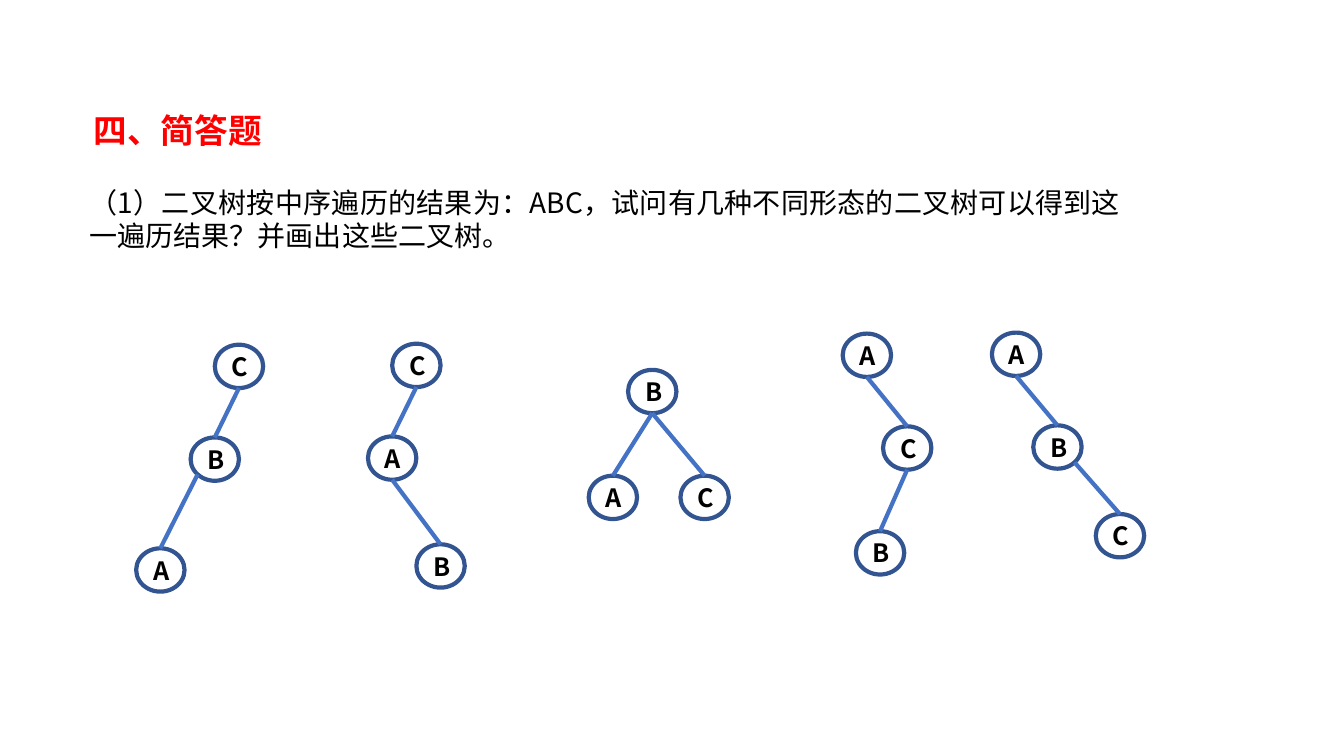
from math import cos, pi, sin

from lxml.etree import SubElement
from pptx import Presentation
from pptx.dml.color import RGBColor
from pptx.enum.shapes import MSO_CONNECTOR, MSO_SHAPE
from pptx.enum.text import MSO_ANCHOR, PP_ALIGN
from pptx.oxml.ns import qn
from pptx.util import Inches, Pt

COLORS = {"text": "000000", "heading": "FF0000", "node": "325491", "edge": "4472C4"}
SANS = "Noto Sans CJK SC"
SERIF = "Times New Roman"

presentation = Presentation()
presentation.slide_width = Inches(13.33)
presentation.slide_height = Inches(7.5)
slide = presentation.slides.add_slide(presentation.slide_layouts[6])

# A grid of 100 columns by 100 rows
column = presentation.slide_width / 100
row = presentation.slide_height / 100


def write(shape, text, size, font=SANS, color="text", bold=False,
          align=PP_ALIGN.JUSTIFY, anchor=MSO_ANCHOR.TOP, wrap=True):
    frame = shape.text_frame
    frame.word_wrap = wrap
    frame.vertical_anchor = anchor
    paragraph = frame.paragraphs[0]
    paragraph.alignment = align
    run = paragraph.add_run()
    run.text = text
    run.font.size = Pt(size)
    run.font.name = font
    run.font.bold = bold
    run.font.color.rgb = RGBColor.from_string(COLORS[color])
    SubElement(run.font._element, qn("a:ea"), typeface=SANS)


def grid_box(left, top, width, height):
    return [round(length) for length in
            (left * column, top * row, width * column, height * row)]


heading = slide.shapes.add_textbox(*grid_box(6.23, 13.87, 14.18, 6.67))
write(heading, "四、简答题", 24, font=SERIF, color="heading", bold=True, wrap=False)

question = slide.shapes.add_textbox(*grid_box(5.93, 23.87, 78.15, 10.27))
write(question, "（1）二叉树按中序遍历的结果为：ABC，试问有几种不同形态的二叉树"
      "可以得到这一遍历结果？并画出这些二叉树。", 20)

NODE_WIDTH, NODE_HEIGHT = 3.6, 5.73
BOTTOM, BOTTOM_LEFT, BOTTOM_RIGHT = pi / 2, pi * 3 / 4, pi / 4

# Each tree: nodes as letter -> (centre column, top row),
# edges as (parent, child, angle where the edge leaves the parent)
trees = [
    ({"C": (17.78, 45.6), "B": (15.98, 57.87), "A": (11.93, 72.53)},
     [("C", "B", BOTTOM), ("B", "A", BOTTOM_LEFT)]),
    ({"C": (30.98, 45.47), "A": (29.18, 57.73), "B": (32.78, 72)},
     [("C", "A", BOTTOM), ("A", "B", BOTTOM)]),
    ({"B": (48.53, 48.93), "A": (45.6, 62.93), "C": (52.43, 62.93)},
     [("B", "A", BOTTOM), ("B", "C", BOTTOM)]),
    ({"A": (64.5, 44.13), "C": (67.5, 56.4), "B": (65.48, 70.27)},
     [("A", "C", BOTTOM), ("C", "B", BOTTOM)]),
    ({"A": (75.6, 44), "B": (78.68, 56.27), "C": (83.33, 68)},
     [("A", "B", BOTTOM), ("B", "C", BOTTOM_RIGHT)]),
]

for nodes, edges in trees:
    for letter, (center, top) in nodes.items():
        node = slide.shapes.add_shape(
            MSO_SHAPE.OVAL,
            *grid_box(center - NODE_WIDTH / 2, top, NODE_WIDTH, NODE_HEIGHT))
        node.shadow.inherit = False
        node.fill.background()
        node.line.color.rgb = RGBColor.from_string(COLORS["node"])
        node.line.width = Pt(3)
        write(node, letter, 18, bold=True, align=PP_ALIGN.CENTER,
              anchor=MSO_ANCHOR.MIDDLE)

    for parent, child, angle in edges:
        parent_center, parent_top = nodes[parent]
        child_center, child_top = nodes[child]
        start_column = parent_center + NODE_WIDTH / 2 * cos(angle)
        start_row = parent_top + NODE_HEIGHT / 2 * (1 + sin(angle))
        edge = slide.shapes.add_connector(
            MSO_CONNECTOR.STRAIGHT,
            round(start_column * column), round(start_row * row),
            round(child_center * column), round(child_top * row))
        edge.line.color.rgb = RGBColor.from_string(COLORS["edge"])
        edge.line.width = Pt(3)
        SubElement(edge._element.spPr, qn("a:effectLst"))

presentation.save("out.pptx")
